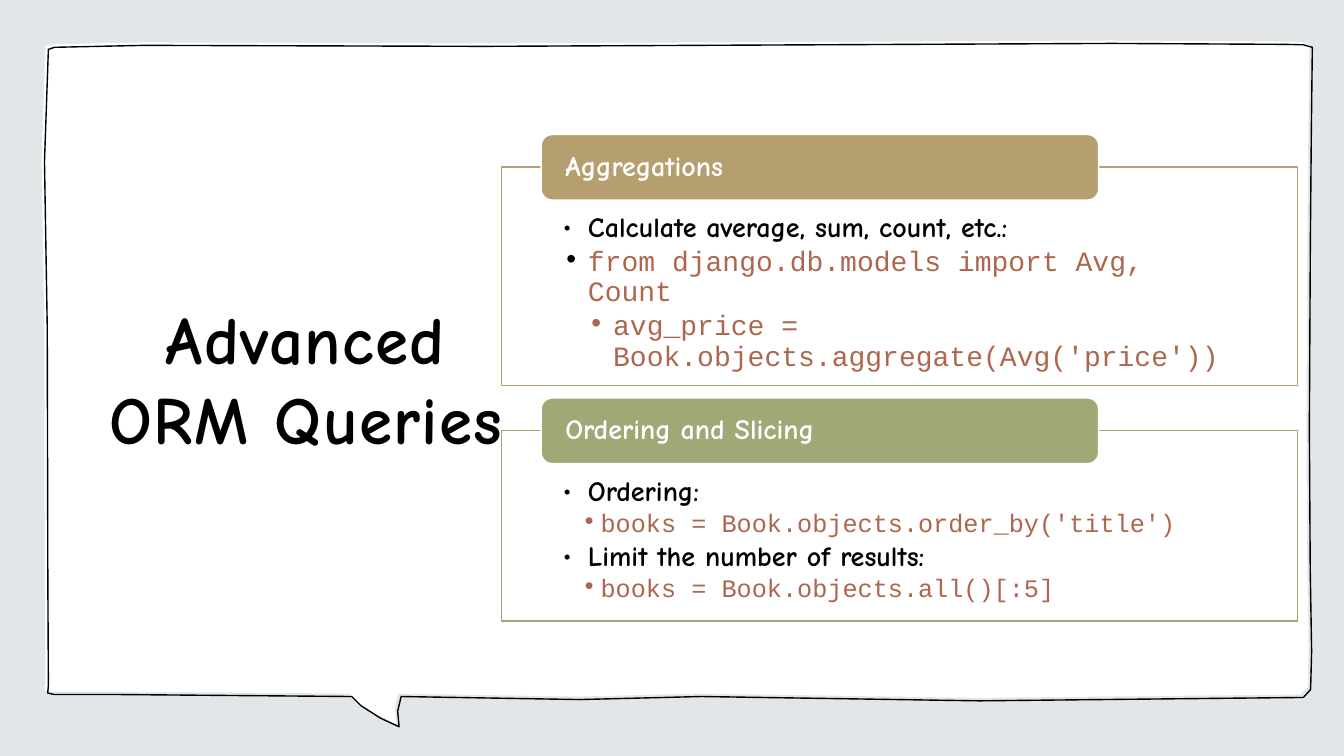
from lxml.etree import SubElement
from pptx import Presentation
from pptx.dml.color import RGBColor
from pptx.enum.shapes import MSO_SHAPE
from pptx.enum.text import MSO_ANCHOR, PP_ALIGN
from pptx.oxml.ns import qn
from pptx.util import Pt

BLACK, WHITE, RUST = "000000", "FFFFFF", "AC674E"
HAND, MONO = "Comic Neue", "Courier New"


def color(value):
    return RGBColor.from_string(value)


def set_font(paragraph, name, size, value, bold):
    font = paragraph.font
    font.name, font.size, font.bold = name, Pt(size), bold
    font.color.rgb = color(value)


presentation = Presentation()
presentation.slide_width, presentation.slide_height = Pt(960), Pt(540)
slide = presentation.slides.add_slide(presentation.slide_layouts[6])
slide.background.fill.solid()
slide.background.fill.fore_color.rgb = color("E2E6E8")

# Speech bubble, clockwise from the top right
bubble_points = [
    (794.2, 31), (918.7, 31.7), (931, 32), (937.4, 33.8),
    (936.7, 93.6), (936, 174.2), (935.3, 306), (935.9, 406.5),
    (936.9, 465.3), (936.2, 492.5), (931, 498.2),
    (699.6, 500.6), (501.1, 497.5), (414, 499.7), (286.6, 497.5),
    (284.1, 507.9), (285.1, 519.1), (271.7, 512.9), (257.8, 504),
    (251.3, 497.5), (84.2, 496.1), (38.9, 496.1), (34.1, 495), (34.6, 489.6),
    (34.2, 411), (33.8, 234.7), (31.8, 115.5), (34.6, 35.3),
    (38.9, 33.8), (103, 32.4), (345.6, 33.1),
]

# White bubble first, then its outline slightly lower and to the right
for shift, filled in [(-2.1, True), (0, False)]:
    points = [(Pt(x + shift), Pt(y + shift)) for x, y in bubble_points]
    builder = slide.shapes.build_freeform(*points[0], scale=1.0)
    builder.add_line_segments(points[1:], close=True)
    bubble = builder.convert_to_shape()
    bubble.shadow.inherit = False
    if filled:
        bubble.fill.solid()
        bubble.fill.fore_color.rgb = color(WHITE)
        bubble.line.fill.background()
    else:
        bubble.fill.background()
        bubble.line.color.rgb = color(BLACK)
        bubble.line.width = Pt(1)

# Title
title = slide.shapes.add_textbox(Pt(69.8), Pt(77), Pt(298.1), Pt(386.6))
title.text_frame.word_wrap = True
title.text_frame.vertical_anchor = MSO_ANCHOR.MIDDLE
paragraph = title.text_frame.paragraphs[0]
paragraph.text = "Advanced ORM Queries"
paragraph.alignment = PP_ALIGN.CENTER
paragraph.line_spacing = Pt(57)
set_font(paragraph, HAND, 48, BLACK, True)
paragraph.runs[0]._r.get_or_add_rPr().set("spc", "100")

# Sections: heading, accent, top, height, lines
# Each line: text, font, size, colour, bullet colour, text indent, hanging indent
sections = [
    ("Aggregations", "B59F6F", 119.3, 156.2, [
        ("Calculate average, sum, count, etc.:", HAND, 20, BLACK, BLACK, 18, 18),
        ("from django.db.models import Avg, Count", MONO, 20, RUST, BLACK, 18, 18),
        ("avg_price = Book.objects.aggregate(Avg('price'))", MONO, 20, RUST, RUST, 36, 18),
    ]),
    ("Ordering and Slicing", "A2A776", 307.5, 136.1, [
        ("Ordering:", HAND, 20, BLACK, BLACK, 18, 18),
        ("books = Book.objects.order_by('title')", MONO, 18, RUST, RUST, 27, 13.5),
        ("Limit the number of results:", HAND, 20, BLACK, BLACK, 18, 18),
        ("books = Book.objects.all()[:5]", MONO, 18, RUST, RUST, 27, 13.5),
    ]),
]
for heading, accent, top, height, lines in sections:
    panel = slide.shapes.add_shape(
        MSO_SHAPE.RECTANGLE, Pt(358.1), Pt(top), Pt(568.8), Pt(height))
    tab = slide.shapes.add_shape(
        MSO_SHAPE.ROUNDED_RECTANGLE, Pt(386.6), Pt(top - 23.2), Pt(398.2), Pt(46.8))
    for shape, fill, line, side_margin, top_margin, bottom_margin, anchor in [
        (panel, WHITE, accent, 43.9, 33.1, 11.5, MSO_ANCHOR.TOP),
        (tab, accent, WHITE, 15, 0, 0, MSO_ANCHOR.MIDDLE),
    ]:
        shape.shadow.inherit = False
        shape.fill.solid()
        shape.fill.fore_color.rgb = color(fill)
        shape.line.color.rgb = color(line)
        shape.line.width = Pt(1)
        frame = shape.text_frame
        frame.word_wrap = True
        frame.vertical_anchor = anchor
        frame.margin_left = frame.margin_right = Pt(side_margin)
        frame.margin_top, frame.margin_bottom = Pt(top_margin), Pt(bottom_margin)

    # Heading on the tab
    paragraph = tab.text_frame.paragraphs[0]
    paragraph.text = heading
    paragraph.alignment = PP_ALIGN.LEFT
    paragraph.line_spacing = 0.9
    set_font(paragraph, HAND, 20, WHITE, True)

    # Bulleted lines in the panel
    for index, (text, name, size, value, bullet, indent, hanging) in enumerate(lines):
        frame = panel.text_frame
        paragraph = frame.add_paragraph() if index else frame.paragraphs[0]
        paragraph.text = text
        paragraph.alignment = PP_ALIGN.LEFT
        paragraph.line_spacing = 0.9
        paragraph.space_after = Pt(2.7)
        properties = paragraph._p.get_or_add_pPr()
        properties.set("marL", str(Pt(indent)))
        properties.set("indent", str(-Pt(hanging)))
        bullet_color = SubElement(properties, qn("a:buClr"))
        SubElement(bullet_color, qn("a:srgbClr")).set("val", bullet)
        SubElement(properties, qn("a:buFont")).set("typeface", name)
        SubElement(properties, qn("a:buChar")).set("char", "•")
        set_font(paragraph, name, size, value, name == HAND)

presentation.save("out.pptx")
